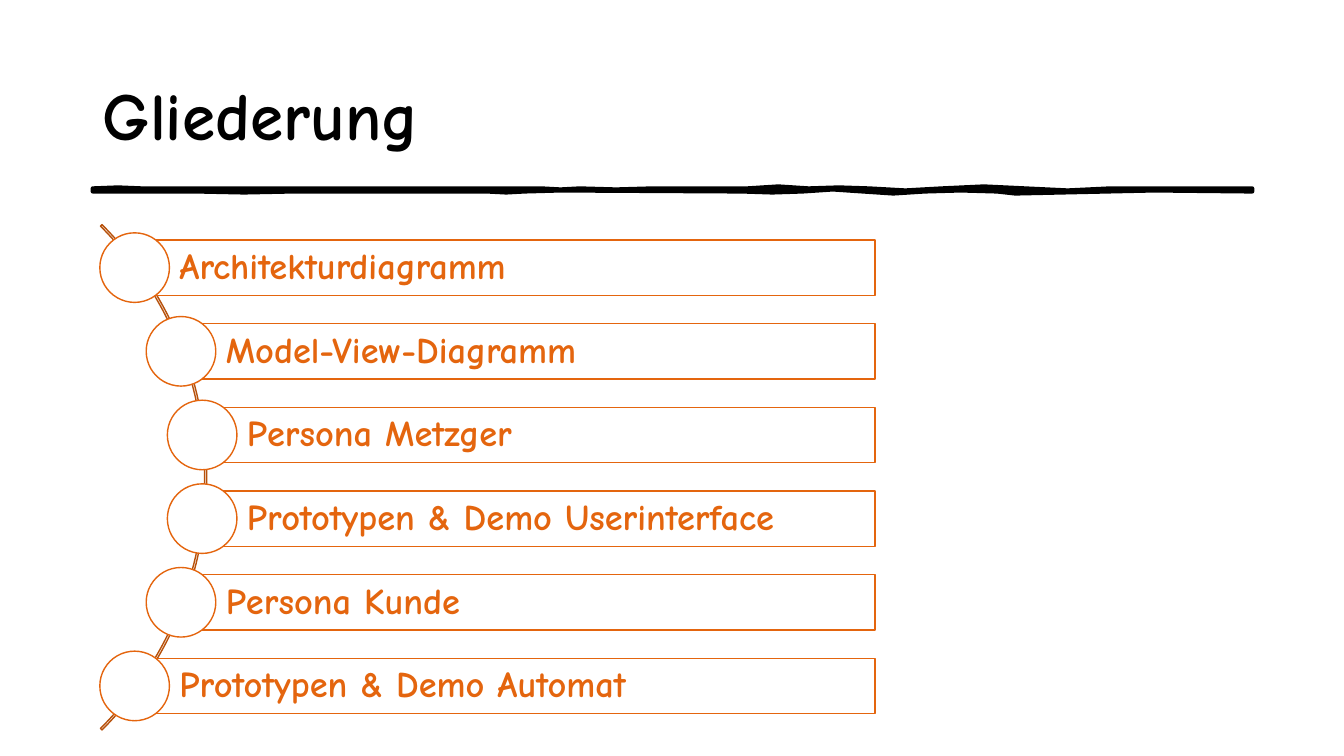
import pptx
import pptx.util
import pptx.dml.color
import pptx.enum.shapes
import pptx.enum.text
from dataclasses import dataclass

PX = 9144  # 100 px to the inch
SHAPE = pptx.enum.shapes.MSO_SHAPE


@dataclass(frozen=True)
class Theme:
    font: str = "Comic Neue"
    ink: str = "000000"
    paper: str = "FFFFFF"
    accent: str = "E4650E"
    arc: str = "B7510B"
    title_size: int = 48
    item_size: int = 26
    thin: int = 1
    brush: int = 3


THEME = Theme()

ITEMS = [
    "Architekturdiagramm",
    "Model-View-Diagramm",
    "Persona Metzger",
    "Prototypen & Demo Userinterface",
    "Persona Kunde",
    "Prototypen & Demo Automat",
]
INDENTS = [0, 46, 67, 67, 46, 0]

# Brush stroke edges as x, y from the left end of the rule
BRUSH_TOP = [
    (0, 0), (25, -1), (49, 0), (204, 0), (326, 0), (445, 0), (464, 1), (483, 0),
    (519, 1), (555, 0), (649, 0), (680, -2), (710, 0), (740, -1), (770, 0),
    (806, 2), (842, 0), (884, -2), (925, 0), (967, 2), (1009, 0), (1150, 0),
]
BRUSH_BOTTOM = [
    (1150, 3), (1053, 2), (1006, 3), (915, 5), (897, 3), (861, 2), (825, 3),
    (794, 5), (764, 3), (734, 1), (704, 3), (674, 4), (644, 3), (464, 2),
    (428, 3), (410, 4), (391, 3), (198, 3), (150, 4), (103, 3), (0, 3),
]


def rgb(color):
    return pptx.dml.color.RGBColor.from_string(color)


def paint(s, fill=None, line=None, width=THEME.thin):
    s.shadow.inherit = False
    if fill:
        s.fill.solid()
        s.fill.fore_color.rgb = rgb(fill)
    else:
        s.fill.background()
    s.line.color.rgb = rgb(line)
    s.line.width = pptx.util.Pt(width)


def add_preset(slide, kind, left, top, width, height, **look):
    s = slide.shapes.add_shape(kind, left * PX, top * PX, width * PX, height * PX)
    paint(s, **look)
    return s


def write(s, text, size, color, insets):
    tf = s.text_frame
    tf.word_wrap = True
    tf.vertical_anchor = pptx.enum.text.MSO_ANCHOR.MIDDLE
    tf.margin_left, tf.margin_top, tf.margin_right, tf.margin_bottom = [
        inset * PX for inset in insets]
    p = tf.paragraphs[0]
    p.alignment = pptx.enum.text.PP_ALIGN.LEFT
    r = p.add_run()
    r.text = text
    r.font.name = THEME.font
    r.font.size = pptx.util.Pt(size)
    r.font.bold = True
    r.font.color.rgb = rgb(color)
    return p


def add_title(slide, left, top, width, height):
    s = slide.shapes.add_textbox(left * PX, top * PX, width * PX, height * PX)
    write(s, "Gliederung", THEME.title_size, THEME.ink, (10, 5, 10, 5))


def add_brush_rule(slide, left, top):
    start, *points = [((left + x) * PX, (top + y) * PX)
                      for x, y in BRUSH_TOP + BRUSH_BOTTOM]
    fb = slide.shapes.build_freeform(*start)
    fb.add_line_segments(points)
    paint(fb.convert_to_shape(), fill=THEME.ink, line=THEME.ink, width=THEME.brush)


def add_agenda(slide, left, top, width):
    pitch, bar_height, circle = 83, 55, 69

    # Arc behind the circles
    arc = add_preset(slide, SHAPE.BLOCK_ARC, left - 638, top - 119, 709, 709, line=THEME.arc)
    for i, value in enumerate((189, 27, 0.003)):
        arc.adjustments[i] = value

    # One bar and one circle for each item
    for row, (text, indent) in enumerate(zip(ITEMS, INDENTS)):
        x, y = left + indent, top + row * pitch
        bar = add_preset(slide, SHAPE.RECTANGLE, x, y, width - indent, bar_height,
                         line=THEME.accent)
        p = write(bar, text, THEME.item_size, THEME.accent, (44, 7, 7, 7))
        p.line_spacing = 0.9
        add_preset(slide, SHAPE.OVAL, x - circle // 2 - 1, y - (circle - bar_height) // 2,
                   circle, circle, fill=THEME.paper, line=THEME.accent)


def agenda_slide(prs):
    slide = prs.slides.add_slide(prs.slide_layouts[6])
    slide.background.fill.solid()
    slide.background.fill.fore_color.rgb = rgb(THEME.paper)
    add_brush_rule(slide, 92, 187)
    add_title(slide, 92, 40, 1150, 145)
    add_agenda(slide, 134, 238, 734)


def main():
    prs = pptx.Presentation()
    prs.slide_width, prs.slide_height = 1333 * PX, 750 * PX
    agenda_slide(prs)
    prs.save("out.pptx")


if __name__ == "__main__":
    main()
